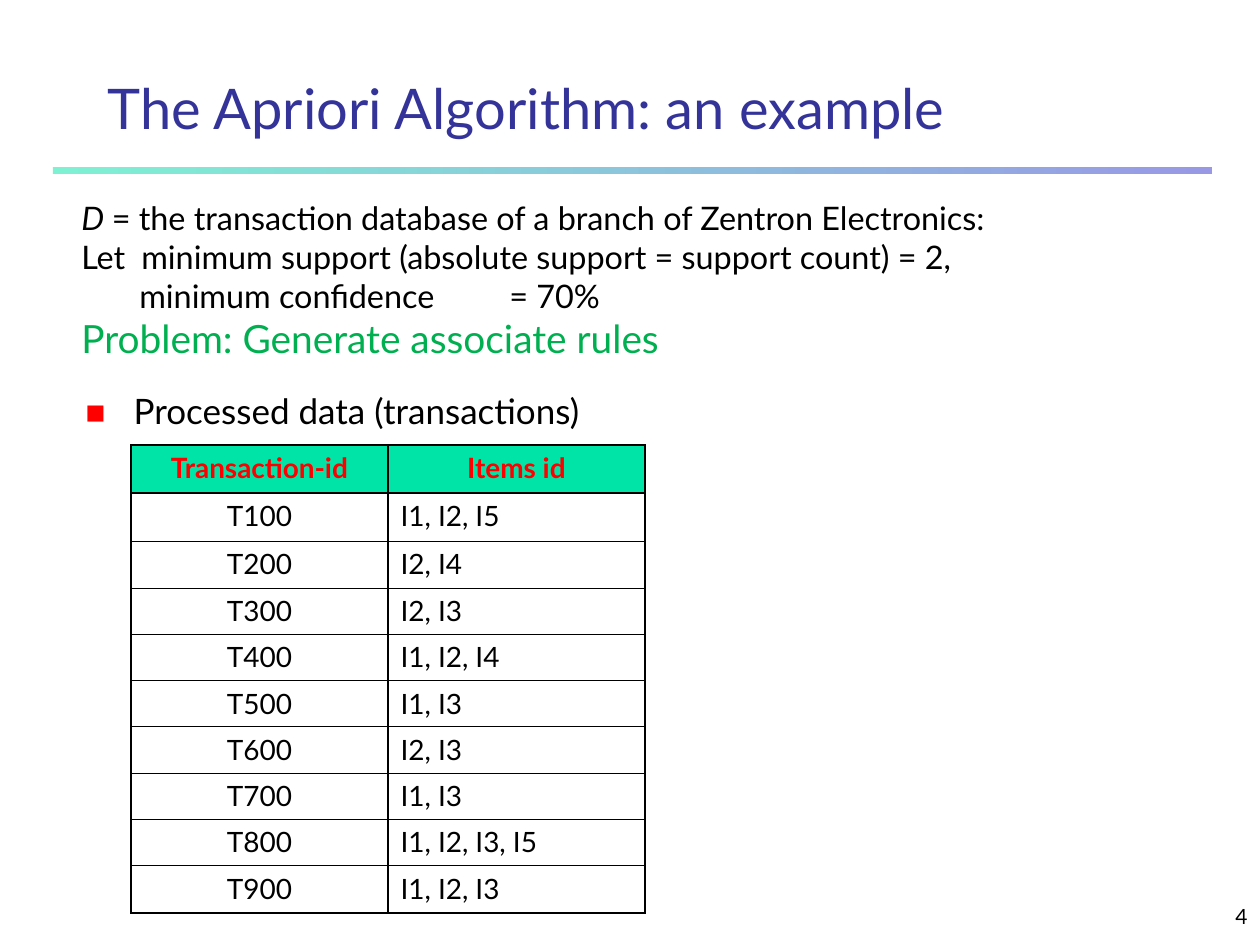
from lxml import etree
from pptx import Presentation
from pptx.dml.color import RGBColor
from pptx.enum.shapes import MSO_SHAPE
from pptx.enum.text import MSO_ANCHOR, MSO_AUTO_SIZE, PP_ALIGN
from pptx.oxml.ns import qn
from pptx.util import Emu, Pt

RECT = MSO_SHAPE.RECTANGLE
TOP, BOTTOM = MSO_ANCHOR.TOP, MSO_ANCHOR.BOTTOM
FIXED = MSO_AUTO_SIZE.NONE
LEFT, CENTER, RIGHT = PP_ALIGN.LEFT, PP_ALIGN.CENTER, PP_ALIGN.RIGHT
BLACK = RGBColor(0, 0, 0)
RED = RGBColor(255, 0, 0)
MINT = RGBColor(0x00, 0xE4, 0xA8)
BLUE = RGBColor(0x33, 0x33, 0xCC)
NAVY = RGBColor(0x33, 0x33, 0x99)
GREEN = RGBColor(0x00, 0xB0, 0x50)
FONT = "Lato"
THIN, THICK = 0.45, 1.08

TITLE = "The Apriori Algorithm: an example"
POINT = "Processed data (transactions)"
PAGE = "4"
INTRO = [
    {"runs": [("D ", True),
              ("= the transaction database of a branch of Zentron Electronics:", False)]},
    {"runs": [("Let\tminimum support (absolute support = support count) = 2,", False)],
     "tab": 60},
    {"runs": [("minimum confidence\t= 70%", False)], "indent": 58, "tab": 370},
    {"runs": [("Problem: Generate associate rules", False)], "size": 22.2, "color": GREEN},
]
HEAD = ("Transaction-id", "Items id")
DATA = [
    ("T100", "I1, I2, I5"),
    ("T200", "I2, I4"),
    ("T300", "I2, I3"),
    ("T400", "I1, I2, I4"),
    ("T500", "I1, I3"),
    ("T600", "I2, I3"),
    ("T700", "I1, I3"),
    ("T800", "I1, I2, I3, I5"),
    ("T900", "I1, I2, I3"),
]
ROWS = [48, 48, 47] + [46] * 6 + [48]
COL = 257


def px(n):
    return Emu(round(n * 914400 / 126))


def place(shape, *box):
    shape.left, shape.top, shape.width, shape.height = map(px, box)


def write(para, text, size, color=BLACK, bold=False, italic=False):
    run = para.add_run()
    run.text = text
    font = run.font
    font.name, font.size = FONT, Pt(size)
    font.bold, font.italic = bold, italic
    font.color.rgb = color


def child(parent, tag, **attrs):
    return etree.SubElement(parent, qn(tag), attrs)


def text_box(slide, anchor, *box):
    shape = slide.shapes.add_textbox(*map(px, box))
    frame = shape.text_frame
    frame.word_wrap = True
    frame.vertical_anchor = anchor
    return frame


def add_rule(slide):
    bar = slide.shapes.add_shape(RECT, *map(px, (53, 167, 1159, 7)))
    bar.shadow.inherit = False
    bar.line.fill.background()
    bar.fill.gradient()
    bar.fill.gradient_angle = 0
    for stop, color in zip(bar.fill.gradient_stops, (MINT, BLUE)):
        stop.color.rgb = color
    for tone in bar.fill._xPr.iter(qn("a:srgbClr")):
        child(tone, "a:alpha", val="50000")


def add_title(slide):
    title = slide.shapes.title
    place(title, 95, 53, 1102, 94)
    frame = title.text_frame
    frame.auto_size = FIXED
    frame.vertical_anchor = BOTTOM
    para = frame.paragraphs[0]
    para.alignment = LEFT
    write(para, TITLE, 32, NAVY)


def add_point(slide):
    body = slide.placeholders[1]
    place(body, 73, 388, 1018, 63)
    frame = body.text_frame
    frame.auto_size = FIXED
    frame.vertical_anchor = TOP
    para = frame.paragraphs[0]
    props = para._p.get_or_add_pPr()
    props.set("marL", str(px(48)))
    props.set("indent", str(px(-48)))
    child(child(props, "a:buClr"), "a:srgbClr", val=str(RED))
    child(props, "a:buSzPct", val="60000")
    child(props, "a:buFont", typeface=FONT)
    child(props, "a:buChar", char="■")
    para.line_spacing = 0.9
    para.space_before = Pt(0)
    write(para, POINT, 20)


def add_intro(slide):
    frame = text_box(slide, TOP, 69, 192, 1124, 186)
    for i, item in enumerate(INTRO):
        para = frame.add_paragraph() if i else frame.paragraphs[0]
        props = para._p.get_or_add_pPr()
        props.set("marL", str(px(item.get("indent", 0))))
        if "tab" in item:
            child(child(props, "a:tabLst"), "a:tab", pos=str(px(item["tab"])), algn="l")
        for text, slant in item["runs"]:
            write(para, text, item.get("size", 18.5), item.get("color", BLACK), italic=slant)


def border(cell, **widths):
    props = cell._tc.get_or_add_tcPr()
    for i, side in enumerate("LRTB"):
        line = etree.Element(qn("a:ln" + side), w=str(Pt(widths[side])))
        child(child(line, "a:solidFill"), "a:srgbClr", val=str(BLACK))
        props.insert(i, line)


def add_grid(slide):
    last = len(DATA)
    frame = slide.shapes.add_table(
        len(ROWS), 2, px(131), px(445), px(2 * COL), px(sum(ROWS)))
    table = frame.table
    for col in table.columns:
        col.width = px(COL)
    for r, (high, texts) in enumerate(zip(ROWS, [HEAD] + DATA)):
        table.rows[r].height = px(high)
        for c, text in enumerate(texts):
            cell = table.cell(r, c)
            para = cell.text_frame.paragraphs[0]
            para.alignment = LEFT if r and c else CENTER
            write(para, text, 16, BLACK if r else RED, bold=r == 0)
            if r:
                cell.fill.background()
            else:
                cell.fill.solid()
                cell.fill.fore_color.rgb = MINT
            border(cell, L=THICK, R=THICK,
                   T=THICK if r < 2 else THIN,
                   B=THICK if r in (0, last) else THIN)


def main():
    deck = Presentation()
    deck.slide_width, deck.slide_height = px(1260), px(945)
    slide = deck.slides.add_slide(deck.slide_layouts[1])
    add_rule(slide)
    page = text_box(slide, BOTTOM, 998, 882, 262, 53).paragraphs[0]
    page.alignment = RIGHT
    write(page, PAGE, 12)
    add_point(slide)
    add_intro(slide)
    add_grid(slide)
    add_title(slide)
    deck.save("out.pptx")


if __name__ == "__main__":
    main()
